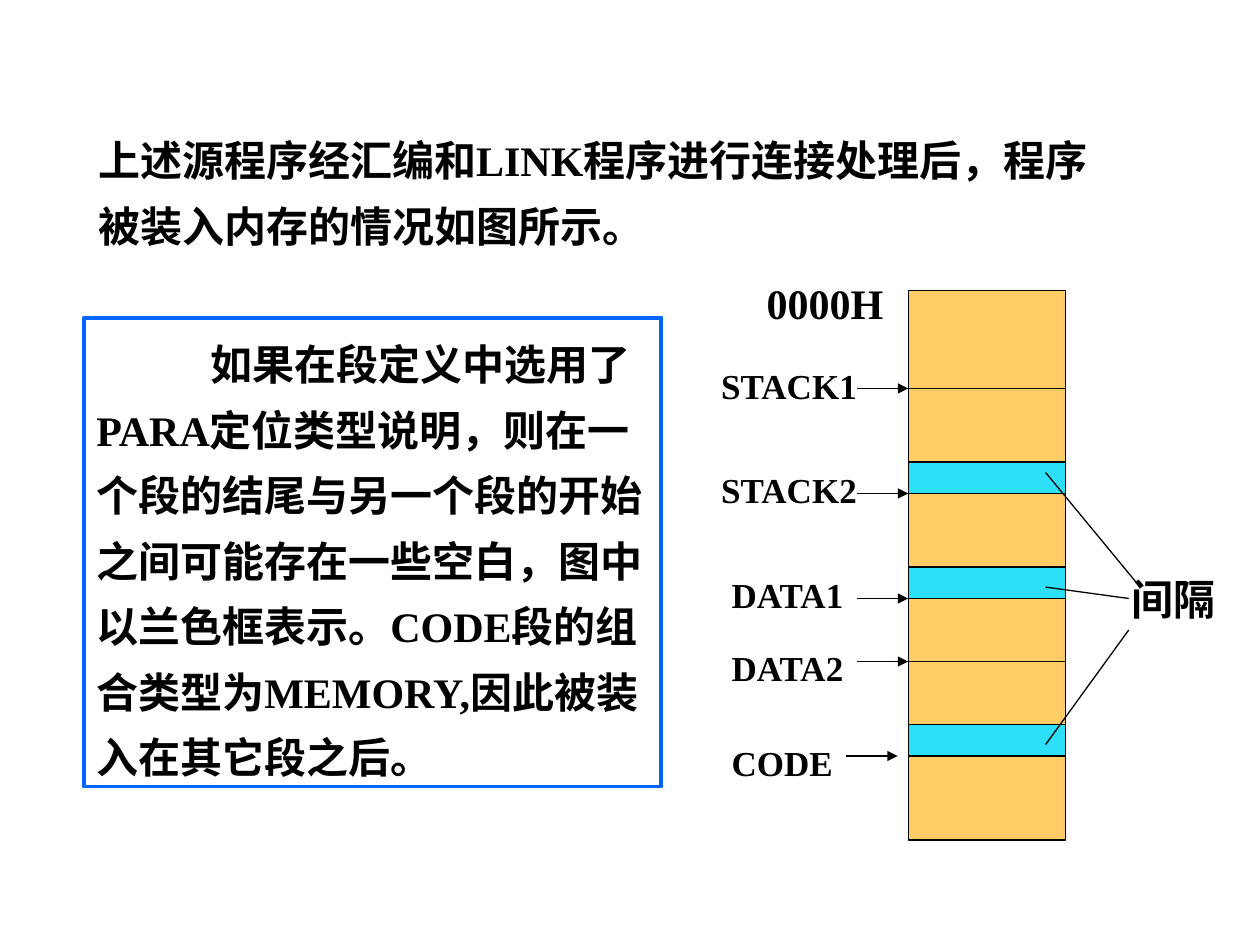
"""Build the slide showing how program segments are laid out in memory."""
from lxml import etree
from pptx import Presentation
from pptx import util as u
from pptx.dml.color import RGBColor
from pptx.enum import shapes, text
from pptx.oxml import ns

BLACK, BLUE, ORANGE, CYAN = "000000", "0066FF", "FFCC66", "2DDFF7"
LEFT, WIDTH, TOP, HEIGHT = 519, 90, 166, 314
GAP_HEIGHT = 18

deck = Presentation()
deck.slide_width, deck.slide_height = u.Pt(720), u.Pt(540)
page = deck.slides.add_slide(deck.slide_layouts[6])


def add_box(place, words="", size=24, spacing=1.0, indent=0, fill=None, line=None, weight=0.75):
    """Add a rectangle with optional fill, outline and bold text."""
    lengths = [u.Pt(length) for length in place]
    if fill or line:
        box = page.shapes.add_shape(shapes.MSO_SHAPE.RECTANGLE, *lengths)
        box.shadow.inherit = False
        if fill:
            box.fill.solid()
            box.fill.fore_color.rgb = RGBColor.from_string(fill)
        else:
            box.fill.background()
        box.line.color.rgb = RGBColor.from_string(line)
        box.line.width = u.Pt(weight)
    else:
        box = page.shapes.add_textbox(*lengths)
    if words:
        frame = box.text_frame
        frame.word_wrap = True
        frame.vertical_anchor = text.MSO_ANCHOR.TOP
        para = frame.paragraphs[0]
        para.alignment = text.PP_ALIGN.LEFT
        para.line_spacing = spacing
        if indent:
            para._p.get_or_add_pPr().set("indent", str(u.Pt(indent)))
        span = para.add_run()
        span.text = words
        span.font.name = "Times New Roman"
        span.font.size = u.Pt(size)
        span.font.bold = True
        span.font.color.rgb = RGBColor.from_string(BLACK)


def add_line(x1, y1, x2, y2, weight=0.75, arrow=False):
    """Add a straight black line, with an arrowhead at its end if asked."""
    ends = [u.Pt(length) for length in (x1, y1, x2, y2)]
    line = page.shapes.add_connector(shapes.MSO_CONNECTOR.STRAIGHT, *ends)
    line.line.color.rgb = RGBColor.from_string(BLACK)
    line.line.width = u.Pt(weight)
    if arrow:
        etree.SubElement(line.line._get_or_add_ln(), ns.qn("a:tailEnd"), type="triangle")
    etree.SubElement(line._element.spPr, ns.qn("a:effectLst"))


add_box((49, 65, 592, 78), "上述源程序经汇编和LINK程序进行连接处理后，程序被装入内存的情况如图所示。", spacing=1.3)
add_box(
    (48, 181.5, 330, 268),
    "如果在段定义中选用了PARA定位类型说明，则在一个段的结尾与另一个段的开始之间可能存在一些空白，"
    "图中以兰色框表示。CODE段的组合类型为MEMORY,因此被装入在其它段之后。",
    spacing=1.3, indent=65, line=BLUE, weight=2.25,
)

add_box((LEFT, TOP, WIDTH, HEIGHT), fill=ORANGE, line=BLACK)
for gap_top in (264, 324, 414):
    add_box((LEFT, gap_top, WIDTH, GAP_HEIGHT), fill=CYAN, line=BLACK)

add_box((431, 155, 84, 36), "0000H")
segments = [
    ("STACK1", 405, 204.5, 96, 222, 489.5),
    ("STACK2", 405, 264, 96, 282, 489.5),
    ("DATA1", 411, 324, 84, 342, 489.5),
    ("DATA2", 411, 366, 84, 378, 489.5),
    ("CODE", 411, 420, 78, 432, 483.5),
]
for name, label_left, label_top, label_width, start, arrow_left in segments:
    add_box((label_left, label_top, label_width, 31), name, size=20)
    add_line(arrow_left, start, arrow_left + 29.5, start, weight=1, arrow=True)
    add_line(LEFT, start, LEFT + WIDTH, start)

for gap_y, label_x, label_y in ((270, 651.5, 335.5), (335.5, 645, 342), (425.5, 645, 360)):
    add_line(597.5, gap_y, label_x, label_y)
add_box((639.5, 324, 66, 36), "间隔")

deck.save("out.pptx")
